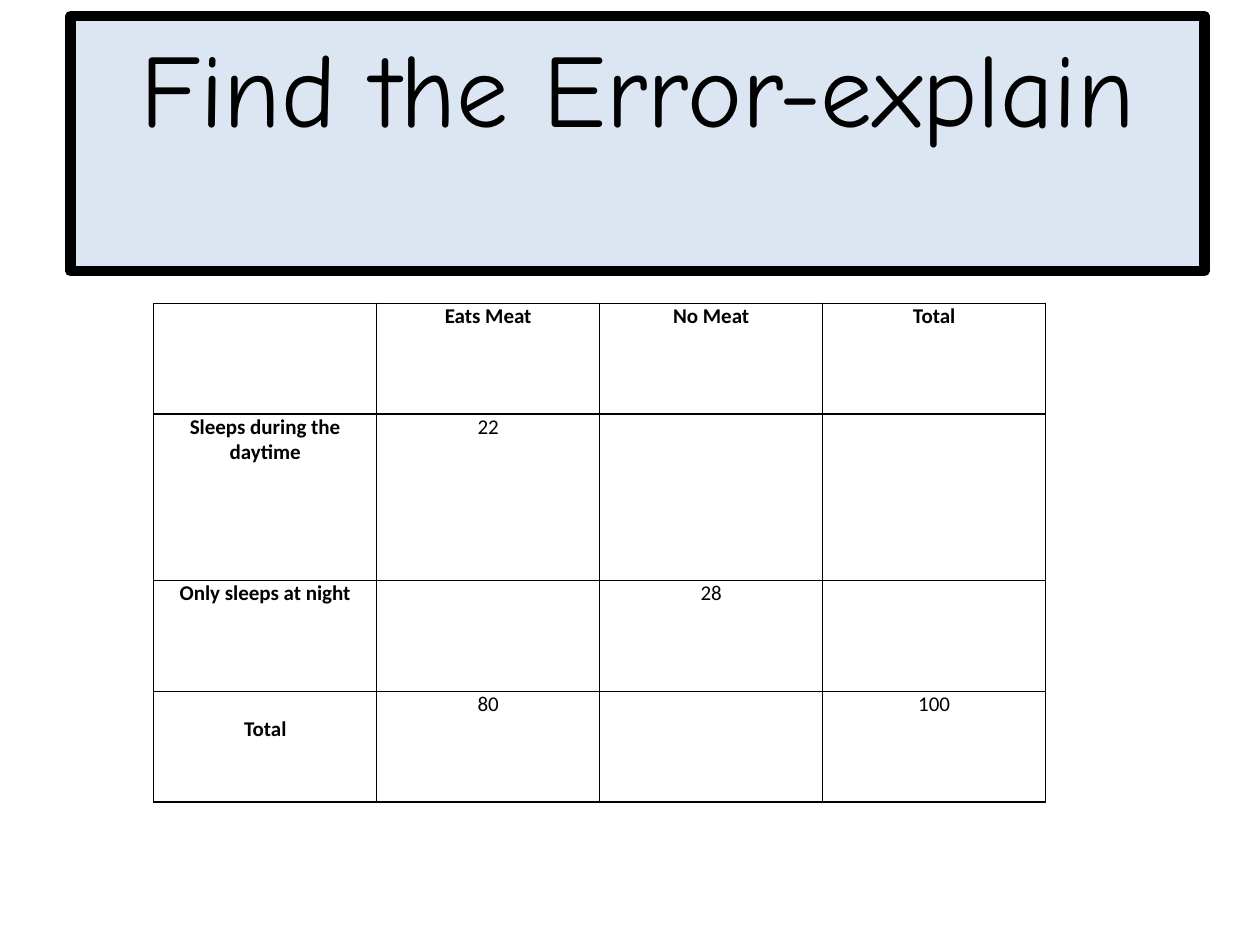
from dataclasses import dataclass

from lxml import etree
from pptx import Presentation
from pptx.dml.color import RGBColor
from pptx.enum.shapes import MSO_SHAPE
from pptx.enum.text import MSO_ANCHOR, PP_ALIGN
from pptx.oxml.ns import qn
from pptx.util import Inches, Pt

RECTANGLE = MSO_SHAPE.RECTANGLE
TOP = MSO_ANCHOR.TOP
CENTER = PP_ALIGN.CENTER

SLIDE_W, SLIDE_H = 10, 7.5
COLUMN_W = 1.77
ROW_UNIT = 0.44
ROW_UNITS = (2, 3, 2, 2)
LABEL_DROP = 0.2  # one line of table text

SURVEY = (
    ("", "Eats Meat", "No Meat", "Total"),
    ("Sleeps during the daytime", "22", "", ""),
    ("Only sleeps at night", "", "28", ""),
    ("Total", "80", "", "100"),
)


@dataclass(frozen=True)
class Theme:
    ink: RGBColor = RGBColor(0x00, 0x00, 0x00)
    paper: RGBColor = RGBColor(0xFF, 0xFF, 0xFF)
    banner: RGBColor = RGBColor(0xDC, 0xE6, 0xF2)
    title_font: str = "Comic Neue"
    table_font: str = "Calibri"
    title_size: float = 59.4
    table_size: float = 12
    frame_width: float = 6
    grid_width: float = 1


THEME = Theme()


def write(paragraph, text, font_name, size, bold=False):
    paragraph.alignment = CENTER
    run = paragraph.add_run()
    run.text = text
    run.font.name = font_name
    run.font.size = Pt(size)
    run.font.bold = bold
    run.font.color.rgb = THEME.ink


def add_banner(slide, text, left, top, width, height):
    banner = slide.shapes.add_shape(
        RECTANGLE, Inches(left), Inches(top), Inches(width), Inches(height))
    banner.shadow.inherit = False
    banner.fill.solid()
    banner.fill.fore_color.rgb = THEME.banner
    banner.line.color.rgb = THEME.ink
    banner.line.width = Pt(THEME.frame_width)
    frame = banner.text_frame
    frame.word_wrap = True
    frame.vertical_anchor = TOP
    frame.margin_top = Inches(0.06)
    write(frame.paragraphs[0], text, THEME.title_font, THEME.title_size)


def outline_cell(cell):
    properties = cell._tc.get_or_add_tcPr()
    for position, side in enumerate(("a:lnL", "a:lnR", "a:lnT", "a:lnB")):
        border = etree.Element(qn(side), w=str(Pt(THEME.grid_width)))
        fill = etree.SubElement(border, qn("a:solidFill"))
        etree.SubElement(fill, qn("a:srgbClr"), val=str(THEME.ink))
        properties.insert(position, border)


def fill_cell(cell, text, bold, drop):
    cell.fill.solid()
    cell.fill.fore_color.rgb = THEME.paper
    cell.margin_left = cell.margin_right = Inches(0.07)
    cell.margin_top, cell.margin_bottom = Inches(drop), 0
    cell.vertical_anchor = TOP
    if text:
        write(cell.text_frame.paragraphs[0], text,
              THEME.table_font, THEME.table_size, bold)
    outline_cell(cell)


def add_survey_table(slide, rows, left, top):
    column_count = len(rows[0])
    table = slide.shapes.add_table(
        len(rows), column_count, Inches(left), Inches(top),
        Inches(COLUMN_W * column_count),
        Inches(ROW_UNIT * sum(ROW_UNITS))).table
    table.first_row = table.horz_banding = False
    for column in table.columns:
        column.width = Inches(COLUMN_W)
    for r, values in enumerate(rows):
        table.rows[r].height = Inches(ROW_UNIT * ROW_UNITS[r])
        for c, value in enumerate(values):
            is_heading = r == 0 or c == 0
            # The last row's label sits one line lower
            drop = LABEL_DROP if c == 0 and r == len(rows) - 1 else 0
            fill_cell(table.cell(r, c), value, is_heading, drop)


def main():
    deck = Presentation()
    deck.slide_width, deck.slide_height = Inches(SLIDE_W), Inches(SLIDE_H)
    slide = deck.slides.add_slide(deck.slide_layouts[6])

    # Title banner
    add_banner(slide, "Find the Error-explain",
               0.056 * SLIDE_W, 0.017 * SLIDE_H, 0.9 * SLIDE_W, 0.27 * SLIDE_H)
    # Two-way table
    add_survey_table(slide, SURVEY, 0.122 * SLIDE_W, 0.321 * SLIDE_H)

    deck.save("out.pptx")


if __name__ == "__main__":
    main()
